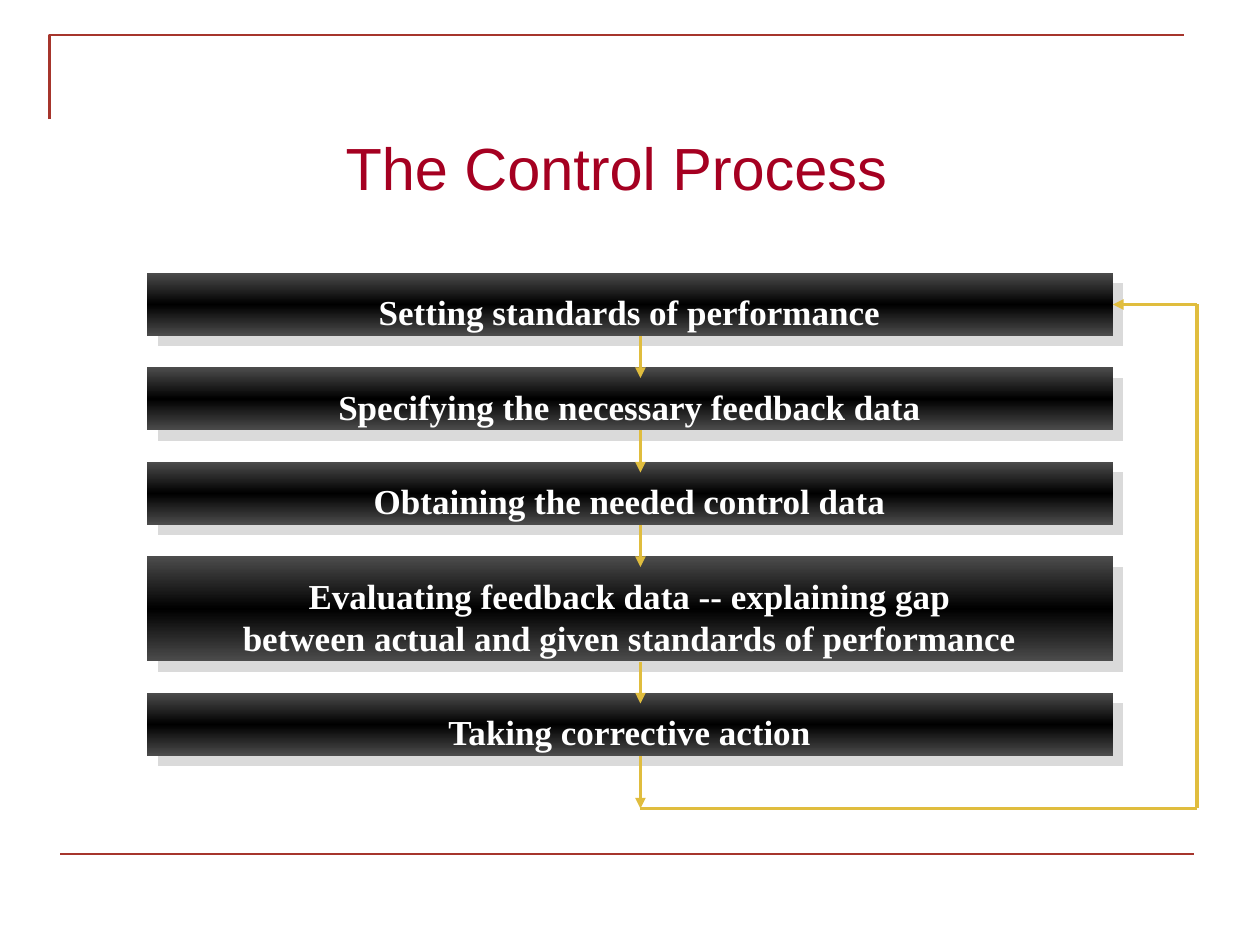
from copy import deepcopy

from lxml.etree import SubElement
from pptx import Presentation
from pptx.dml.color import RGBColor
from pptx.enum.shapes import MSO_CONNECTOR, MSO_SHAPE
from pptx.enum.text import MSO_ANCHOR as Anchor, PP_ALIGN as Align
from pptx.oxml.ns import qn
from pptx.util import Pt

RED, TITLE_RED, GOLD = "A6352C", "A50021", "E0BD3E"
EDGE, CENTER, SHADOW, WHITE = "4C4C4C", "000000", "DADADA", "FFFFFF"

STEPS = [
    ["Setting standards of performance"],
    ["Specifying the necessary feedback data"],
    ["Obtaining the needed control data"],
    ["Evaluating feedback data -- explaining gap",
     "between actual and given standards of performance"],
    ["Taking corrective action"],
]
LINE_HEIGHT, BAR_PADDING, GAP = 24, 12, 18


def color(hex_code):
    return RGBColor.from_string(hex_code)


def add_line(slide, start, end, hex_code, width, arrow=False):
    line = slide.shapes.add_connector(
        MSO_CONNECTOR.STRAIGHT, *(Pt(v) for v in (*start, *end)))
    line.line.color.rgb = color(hex_code)
    line.line.width = Pt(width)
    properties = line._element.spPr
    if arrow:
        SubElement(properties.find(qn("a:ln")), qn("a:tailEnd"), type="triangle")
    SubElement(properties, qn("a:effectLst"))


def add_run(paragraph, text, font_name, size, hex_code, bold=False):
    paragraph.alignment = Align.CENTER
    run = paragraph.add_run()
    run.text = text
    run.font.name = font_name
    run.font.size = Pt(size)
    run.font.bold = bold
    run.font.color.rgb = color(hex_code)


def add_frame(slide, left, top, width, height):
    # Corner rule at the top left
    builder = slide.shapes.build_freeform(Pt(left), Pt(top + 48))
    builder.add_line_segments(
        [(Pt(left), Pt(top)), (Pt(left + width), Pt(top))], close=False)
    corner = builder.convert_to_shape()
    corner.shadow.inherit = False
    corner.fill.background()
    corner.line.color.rgb = color(RED)
    corner.line.width = Pt(1.5)

    # Bottom rule, set slightly to the right
    bottom = top + height
    add_line(slide, (left + 6, bottom), (left + 6 + width, bottom), RED, 1.5)


def add_title(slide, left, top, width, height):
    title = slide.shapes.title
    title.left, title.top, title.width, title.height = map(
        Pt, (left, top, width, height))
    title.text_frame.vertical_anchor = Anchor.MIDDLE
    add_run(title.text_frame.paragraphs[0], "The Control Process ",
            "Arial", 34, TITLE_RED)


def add_step(slide, lines, left, top, width, height):
    # Bar with a dark centre band
    bar = slide.shapes.add_shape(
        MSO_SHAPE.RECTANGLE, Pt(left), Pt(top), Pt(width), Pt(height))
    bar.line.fill.background()
    bar.fill.gradient()
    bar.fill.gradient_angle = 90
    stop_list = bar._element.spPr.find(".//" + qn("a:gsLst"))
    stop_list.append(deepcopy(stop_list[0]))
    for stop, position, shade in zip(
            bar.fill.gradient_stops, (0, 0.5, 1), (EDGE, CENTER, EDGE)):
        stop.position = position
        stop.color.rgb = color(shade)

    # Hard offset shadow
    bar.shadow.inherit = False
    effects = bar._element.spPr.find(qn("a:effectLst"))
    shadow = SubElement(effects, qn("a:outerShdw"), blurRad="0",
                        dist=str(Pt(8.5)), dir="2700000", algn="ctr",
                        rotWithShape="0")
    SubElement(shadow, qn("a:srgbClr"), val=SHADOW)

    # Caption
    caption = slide.shapes.add_textbox(
        Pt(left - 2.5), Pt(top + 6.5), Pt(width + 4.5), Pt(height - 5))
    frame = caption.text_frame
    frame.word_wrap = True
    for index, line in enumerate(lines):
        paragraph = frame.add_paragraph() if index else frame.paragraphs[0]
        add_run(paragraph, line, "Times New Roman", 20, WHITE, bold=True)


def add_process(slide, left, top, width, height):
    # Stacked steps
    bottoms = []
    step_top = top
    for lines in STEPS:
        step_height = LINE_HEIGHT * len(lines) + BAR_PADDING
        add_step(slide, lines, left, step_top, width, step_height)
        bottoms.append(step_top + step_height)
        step_top = bottoms[-1] + GAP

    # Arrows from step to step, the last one down to the feedback loop
    arrow_x = left + width / 2 + 6
    loop_bottom = top + height
    arrow_ends = [bottom + 24 for bottom in bottoms[:-1]] + [loop_bottom]
    for start, end in zip(bottoms, arrow_ends):
        add_line(slide, (arrow_x, start), (arrow_x, end), GOLD, 2, arrow=True)

    # Feedback loop back to the first step
    loop_x = left + width + 48
    loop_top = (top + bottoms[0]) / 2
    corners = [(arrow_x, loop_bottom), (loop_x, loop_bottom),
               (loop_x, loop_top), (left + width, loop_top)]
    for start, end in zip(corners, corners[1:]):
        add_line(slide, start, end, GOLD, 2, arrow=end == corners[-1])


def main():
    deck = Presentation()
    deck.slide_width, deck.slide_height = Pt(720), Pt(540)
    slide = deck.slides.add_slide(deck.slide_layouts[5])
    slide.background.fill.solid()
    slide.background.fill.fore_color.rgb = color(WHITE)
    add_frame(slide, 28.5, 20, 648, 468)
    add_title(slide, 34.5, 50, 645, 90)
    add_process(slide, 84, 156, 552, 306)
    deck.save("out.pptx")


if __name__ == "__main__":
    main()
